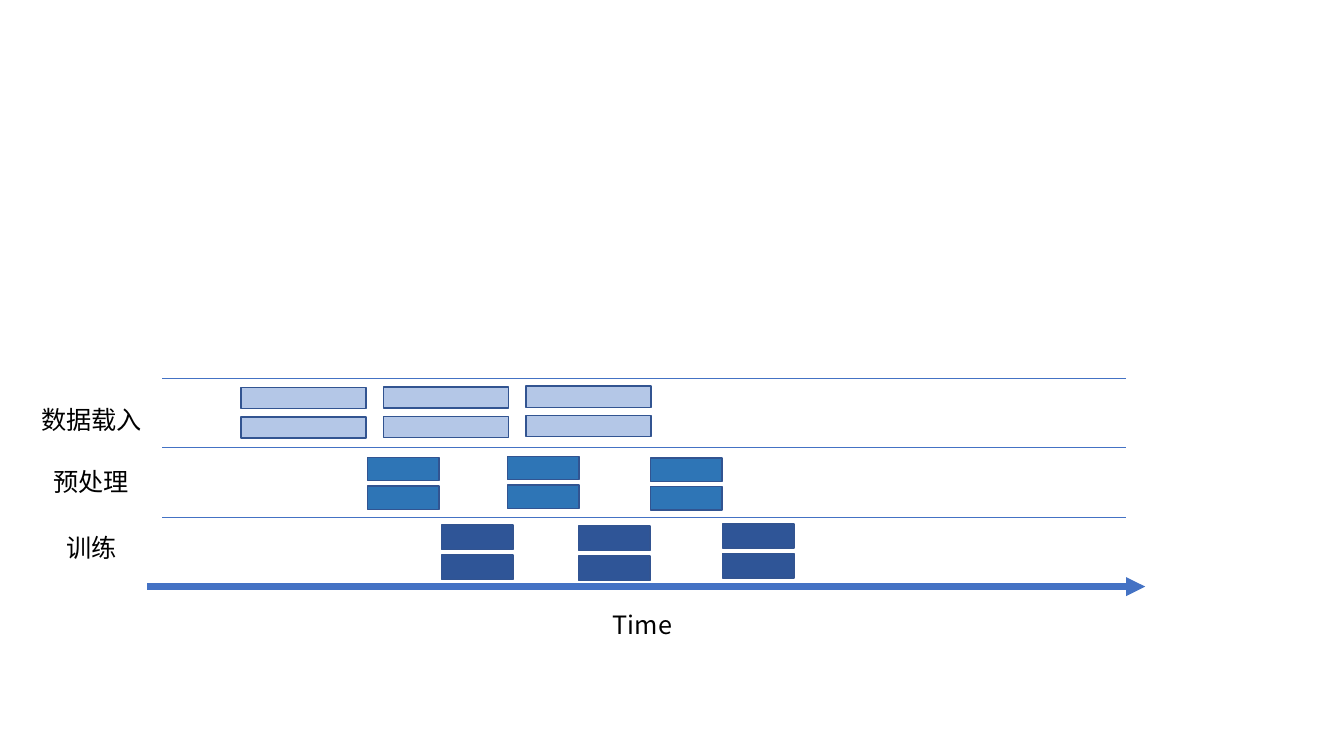
"""Build a timeline slide of overlapping loading, preprocessing and training stages."""
import pptx
import pptx.util
import pptx.dml.color
import pptx.enum.shapes
import pptx.oxml.ns
from lxml import etree

Pt = pptx.util.Pt
COLOURS = {
    "line": "4472C4", "outline": "325491", "text": "000000",
    "load": "B4C7E7", "prepare": "2E75B6", "train": "2F5597",
}
FONT = "Noto Sans CJK SC"


def colour(name):
    """Return the named colour as an RGBColor."""
    return pptx.dml.color.RGBColor.from_string(COLOURS[name])


def add_line(page, left, right, y, width):
    """Draw a horizontal line without a shadow and return it."""
    line = page.shapes.add_connector(
        pptx.enum.shapes.MSO_CONNECTOR.STRAIGHT, Pt(left), Pt(y), Pt(right), Pt(y))
    line.line.color.rgb = colour("line")
    line.line.width = Pt(width)
    etree.SubElement(line._element.spPr, pptx.oxml.ns.qn("a:effectLst"))
    return line


deck = pptx.Presentation()
deck.slide_width, deck.slide_height = Pt(960), Pt(540)
page = deck.slides.add_slide(deck.slide_layouts[6])

time_axis = add_line(page, 105.1, 818, 419, 4.5)
etree.SubElement(time_axis.line._get_or_add_ln(),
                 pptx.oxml.ns.qn("a:tailEnd"), type="triangle")
for row in range(3):
    add_line(page, 116, 804.3, 270 + 49.7 * row, 0.5)

labels = [
    ("Time", 430.6, 432, 59),
    ("数据载入", 22.3, 285.1, 92.2),
    ("预处理", 31, 329.8, 74.2),
    ("训练", 40.3, 376.6, 74.2),
]
for text, left, top, width in labels:
    box = page.shapes.add_textbox(Pt(left), Pt(top), Pt(width), Pt(29))
    box.text_frame.word_wrap = True
    span = box.text_frame.paragraphs[0].add_run()
    span.text = text
    for name, value in {"size": Pt(18), "name": FONT}.items():
        setattr(span.font, name, value)
    span.font.color.rgb = colour("text")
    etree.SubElement(span.font._element, pptx.oxml.ns.qn("a:ea"), typeface=FONT)

stages = [
    ("load", 89.3, 15.1, 21.1, [(172.1, 276.7), (273.9, 276.4), (375.8, 275.8)]),
    ("prepare", 51.1, 16.6, 20.5, [(262.4, 326.7), (362.5, 326), (464.7, 327.2)]),
    ("train", 51.1, 17.3, 21.4, [(315.4, 375.1), (413.3, 375.8), (516.2, 374.2)]),
]
for stage, width, height, pitch, batches in stages:
    for left, top in batches:
        for worker in range(2):
            bar = page.shapes.add_shape(
                pptx.enum.shapes.MSO_SHAPE.RECTANGLE,
                Pt(left), Pt(top + pitch * worker), Pt(width), Pt(height))
            bar.shadow.inherit = False
            bar.fill.solid()
            bar.fill.fore_color.rgb = colour(stage)
            bar.line.color.rgb = colour("outline")
            bar.line.width = Pt(1)

deck.save("out.pptx")
